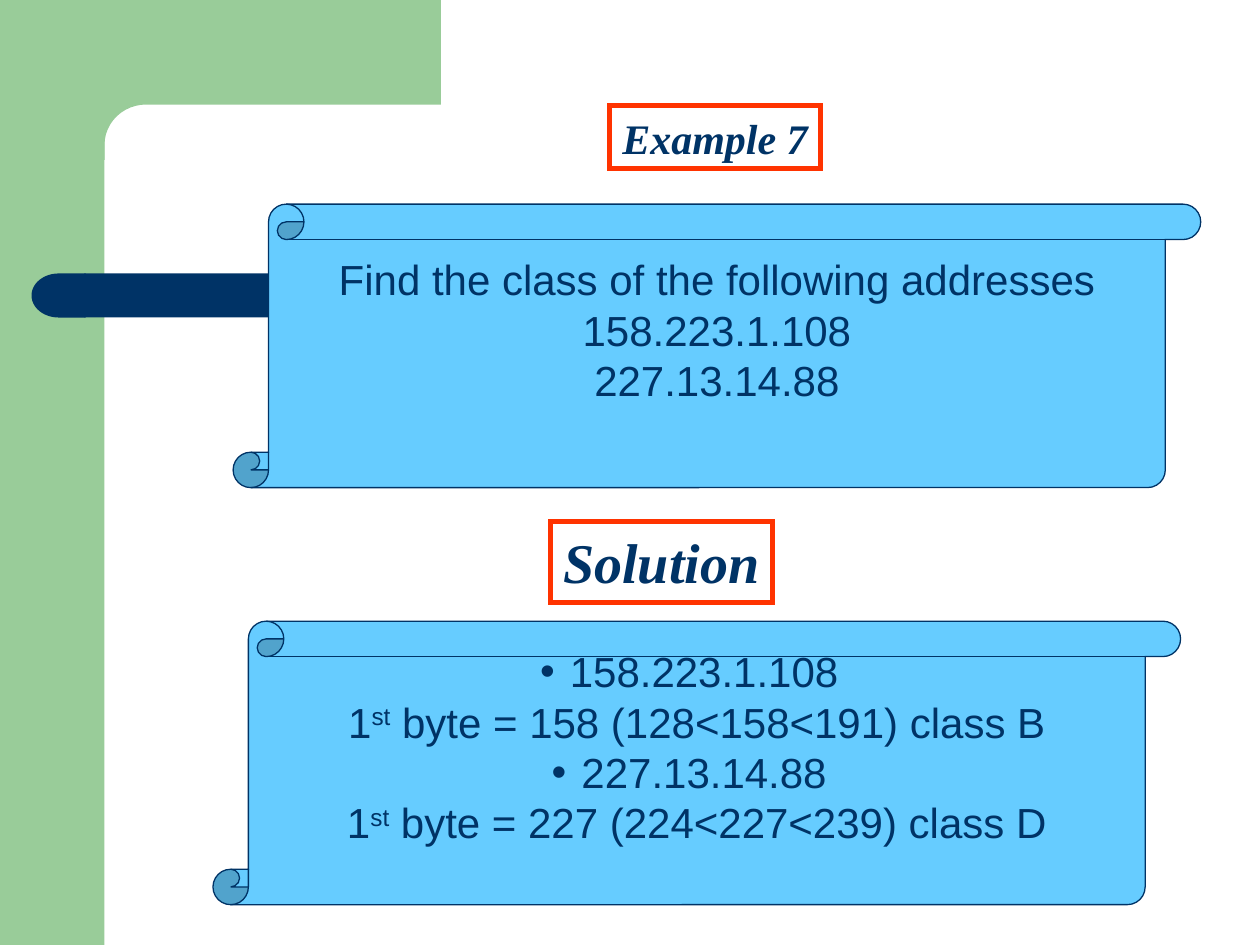
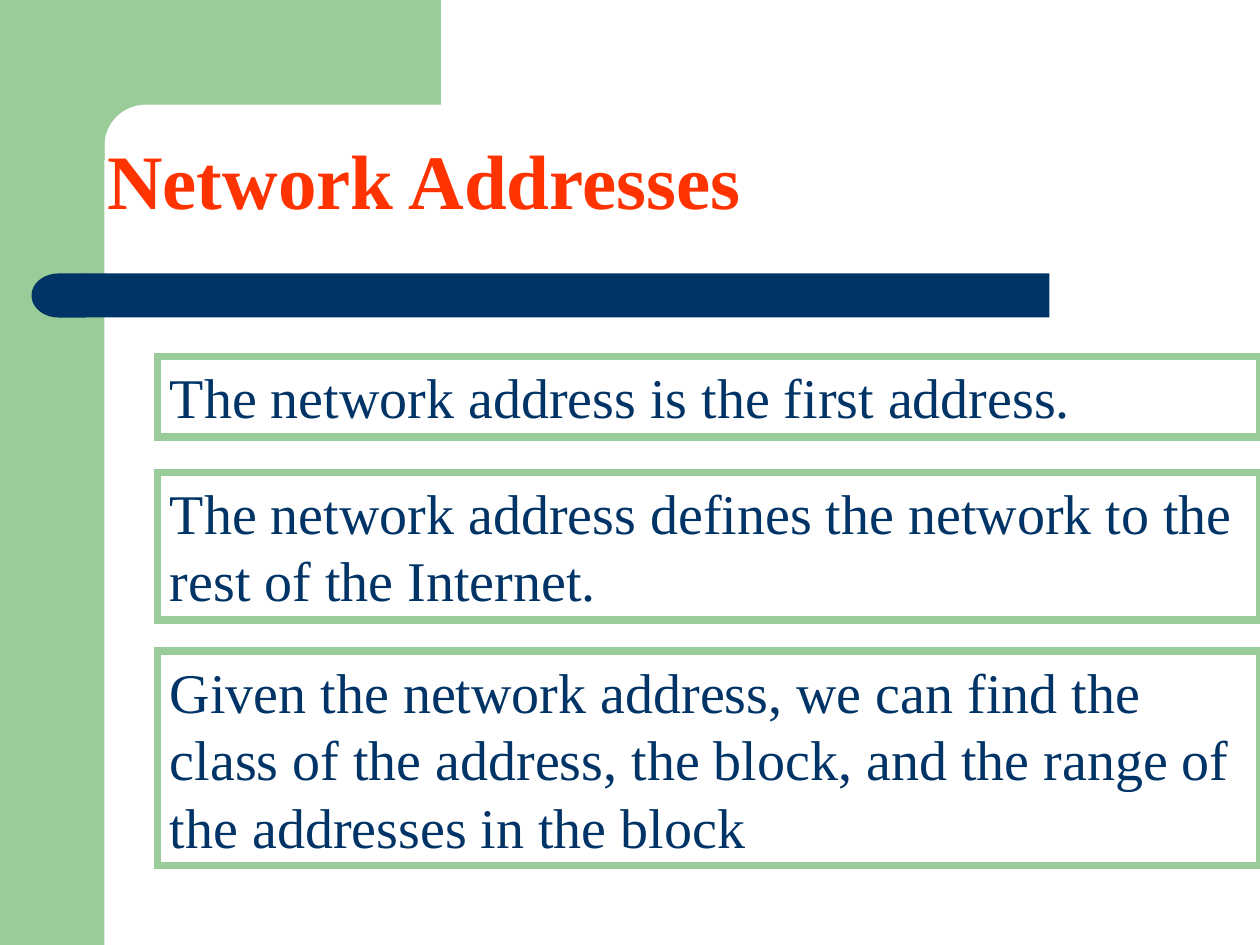
import math

import lxml.etree
import pptx
import pptx.dml.color
import pptx.enum.shapes
import pptx.enum.text
import pptx.oxml.ns
import pptx.util

Inches = pptx.util.Inches
Shape = pptx.enum.shapes.MSO_SHAPE
Align = pptx.enum.text.PP_ALIGN
Anchor = pptx.enum.text.MSO_ANCHOR

COLORS = {"green": "99CC99", "navy": "003366", "red": "FF3300", "sky": "66CCFF", "white": "FFFFFF"}
SERIF, SANS = "Times New Roman", "Arial"
TITLE_ONLY = 5
SCROLL_SIZE = (7.68, 2.25)


def color(name):
    return pptx.dml.color.RGBColor.from_string(COLORS[name])


def add_child(parent, tag, **attributes):
    return lxml.etree.SubElement(parent, pptx.oxml.ns.qn(tag), **attributes)


def paint(shape, fill=None, line=None, line_width=0):
    if fill:
        shape.fill.solid()
        shape.fill.fore_color.rgb = color(fill)
    else:
        shape.fill.background()
    if line:
        shape.line.color.rgb = color(line)
        shape.line.width = pptx.util.Pt(line_width)
        add_child(shape.line._get_or_add_ln(), "a:miter", lim="800000")
    else:
        shape.line.fill.background()


def add_shape(slide, kind, box, fill=None, line=None, line_width=0):
    shape = slide.shapes.add_shape(kind, *map(Inches, box))
    shape.shadow.inherit = False
    paint(shape, fill, line, line_width)
    return shape


def prepare_frame(shape, wrap, anchor=Anchor.TOP, side=0.1, bottom=0.05):
    frame = shape.text_frame
    frame.word_wrap = wrap
    frame.auto_size = pptx.enum.text.MSO_AUTO_SIZE.NONE
    frame.vertical_anchor = anchor
    frame.margin_left = frame.margin_right = Inches(side)
    frame.margin_top, frame.margin_bottom = Inches(0.05), Inches(bottom)
    return frame


def style(paragraph, size, font_name, ink="navy", bold=False, italic=False, align=Align.LEFT):
    paragraph.alignment = align
    font = paragraph.font
    font.size = pptx.util.Pt(size)
    font.name = font_name
    font.bold, font.italic = bold, italic
    font.color.rgb = color(ink)


def add_bullet(paragraph):
    properties = paragraph._p.get_or_add_pPr()
    add_child(properties, "a:buFont", typeface=SANS)
    add_child(properties, "a:buChar", char="•")


def add_backdrop(slide):
    add_shape(slide, Shape.RECTANGLE, (0, 0, 0.83, 7.5), "green")
    angles = [math.radians(90 * step / 12) for step in range(13)]
    corner = [(1.16 - 0.33 * math.sin(a), 1.15 - 0.32 * math.cos(a)) for a in angles]
    outline = [(3.5, 0), (3.5, 0.83), *corner, (0.83, 1.27), (0.5, 1.27), (0.5, 0)]
    points = [(Inches(x), Inches(y)) for x, y in outline]
    builder = slide.shapes.build_freeform(*points[0])
    builder.add_line_segments(points[1:])
    band = builder.convert_to_shape()
    band.shadow.inherit = False
    paint(band, "green")
    add_shape(slide, Shape.RECTANGLE, (0.67, 2.17, 7.66, 0.35), "navy")
    cap = add_shape(slide, Shape.FLOWCHART_DELAY, (0.25, 2.17, 0.43, 0.35), "navy")
    cap.rotation = 180


def add_slide(presentation, title_text, title_box):
    slide = presentation.slides.add_slide(presentation.slide_layouts[TITLE_ONLY])
    add_backdrop(slide)
    title = slide.shapes.title
    title.element.getparent().append(title.element)
    title.left, title.top, title.width, title.height = map(Inches, title_box)
    title.text = title_text
    return slide, title


def format_label(shape, size):
    paint(shape, "white", "red", 3)
    frame = prepare_frame(shape, wrap=False, side=0.05)
    style(frame.paragraphs[0], size, SERIF, bold=True, italic=True, align=Align.CENTER)


def add_scroll(slide, left, top, lines):
    scroll = add_shape(slide, Shape.VERTICAL_SCROLL, (left, top, *SCROLL_SIZE), "sky", "navy", 0.75)
    frame = prepare_frame(scroll, wrap=False, anchor=Anchor.MIDDLE, bottom=0.45)
    for index, (text, bulleted) in enumerate(lines):
        paragraph = frame.paragraphs[0] if index == 0 else frame.add_paragraph()
        if bulleted:
            add_bullet(paragraph)
        for part_index, part in enumerate(text.split("^")):
            run = paragraph.add_run()
            run.text = part
            if part_index == 1:
                run._r.get_or_add_rPr().set("baseline", "30000")
        style(paragraph, 24, SANS, align=Align.CENTER)


def add_statement(slide, top, height, text):
    box = add_shape(slide, Shape.RECTANGLE, (1.25, top, 8.75, height), line="green", line_width=4.5)
    frame = prepare_frame(box, wrap=True)
    frame.text = text
    style(frame.paragraphs[0], 32, SERIF)


def add_example_slide(presentation):
    slide, title = add_slide(presentation, "Example 7", (4.84, 0.84, 1.67, 0.5))
    format_label(title, 24)
    solution = add_shape(slide, Shape.RECTANGLE, (4.37, 4.14, 1.76, 0.64))
    solution.text_frame.text = "Solution"
    format_label(solution, 32)
    add_scroll(slide, 1.85, 1.62, [
        ("Find the class of the following addresses", False),
        ("158.223.1.108", False),
        ("227.13.14.88", False),
    ])
    add_scroll(slide, 1.69, 4.93, [
        ("158.223.1.108", True),
        ("1^st^ byte = 158 (128<158<191) class B", False),
        ("227.13.14.88", True),
        ("1^st^ byte = 227 (224<227<239) class D", False),
    ])


def add_network_slide(presentation):
    slide, title = add_slide(presentation, "Network Addresses", (0.75, 1, 5.5, 0.84))
    frame = prepare_frame(title, wrap=True)
    style(frame.paragraphs[0], 44, SERIF, "red", bold=True)
    add_statement(slide, 2.83, 0.64, "The network address is the first address.")
    add_statement(slide, 3.75, 1.17,
                  "The network address defines the network to the rest of the Internet.")
    add_statement(slide, 5.17, 1.7,
                  "Given the network address, we can find the class of the address, "
                  "the block, and the range of the addresses in the block")


def main():
    presentation = pptx.Presentation()
    presentation.slide_width, presentation.slide_height = Inches(10), Inches(7.5)
    add_example_slide(presentation)
    add_network_slide(presentation)
    presentation.save("out.pptx")


if __name__ == "__main__":
    main()
